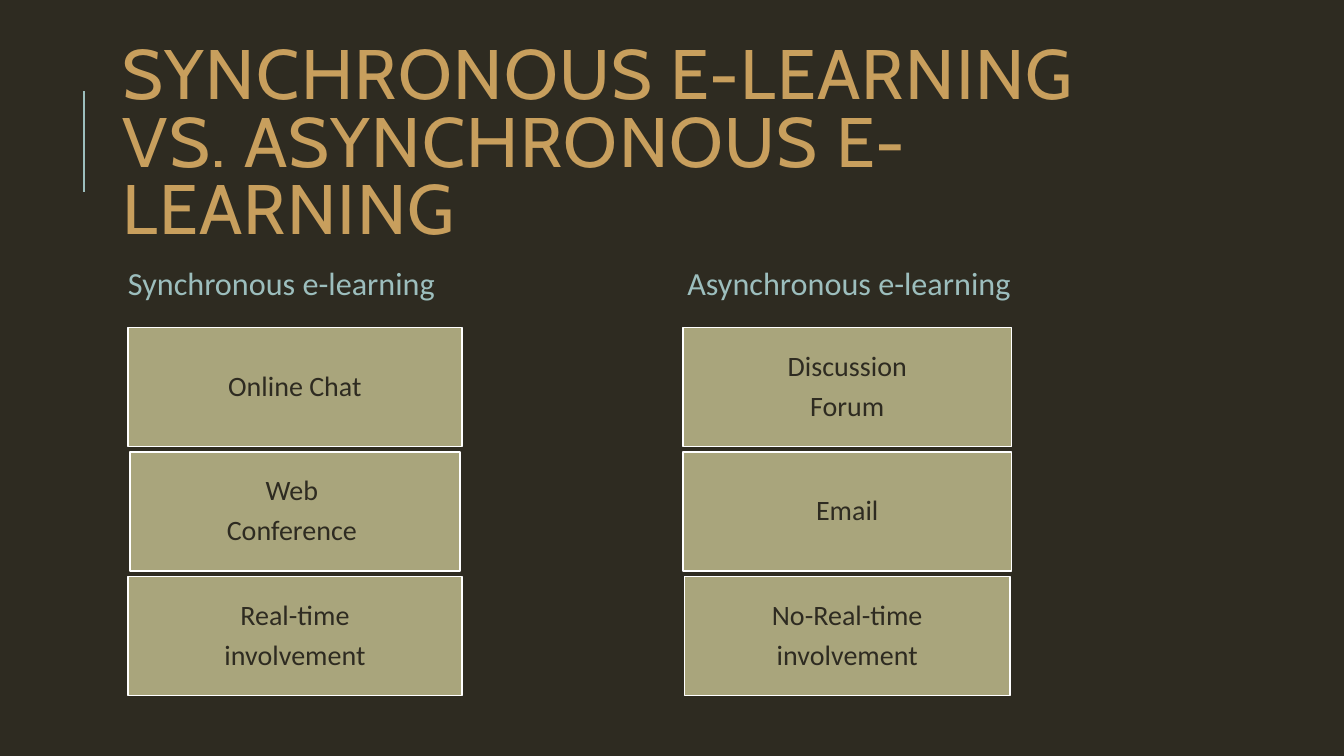
"""Build a slide that compares synchronous with asynchronous e-learning."""
from dataclasses import dataclass

from lxml import etree
from pptx import Presentation
from pptx import util as u
from pptx.dml.color import RGBColor
from pptx.enum import shapes, text
from pptx.oxml import ns

DARK = RGBColor(0x2E, 0x2B, 0x21)
GOLD = RGBColor(0xC8, 0x9F, 0x5D)
TEAL = RGBColor(0x9C, 0xBE, 0xBD)
OLIVE = RGBColor(0xA9, 0xA5, 0x7C)
WHITE = RGBColor(0xFF, 0xFF, 0xFF)

FIRST_TOP, CARD_HEIGHT, CARD_PITCH = 234, 85, 88.9


@dataclass(frozen=True)
class Font:
    name: str
    size: float
    color: RGBColor
    tracking: int = 0


@dataclass(frozen=True)
class Card:
    lines: tuple[str, ...]
    width: float


@dataclass(frozen=True)
class Column:
    heading: str
    heading_left: float
    center: float
    cards: tuple[Card, ...]


TITLE_FONT = Font("Cabin", 50, GOLD, tracking=100)
HEADING_FONT = Font("Calibri", 23, TEAL)
CARD_FONT = Font("Calibri", 20, DARK)

COLUMNS = (
    Column("Synchronous e-learning", 80.6, 210.7, (
        Card(("Online Chat",), 238.4),
        Card(("Web ", "Conference "), 236.2),
        Card(("Real-time", "involvement"), 238.6),
    )),
    Column("Asynchronous e-learning", 480.2, 605.2, (
        Card(("Discussion", "Forum"), 234.8),
        Card(("Email",), 234.8),
        Card(("No-Real-time", "involvement"), 232.6),
    )),
)


def write(frame, lines: tuple[str, ...], font: Font, spacing: float,
          inset: tuple[float, float], align=text.PP_ALIGN.LEFT, after: float = 0) -> None:
    """Fill a text frame with one paragraph for each line."""
    frame.word_wrap = True
    frame.vertical_anchor = text.MSO_ANCHOR.MIDDLE
    frame.margin_left = frame.margin_right = u.Pt(inset[0])
    frame.margin_top = frame.margin_bottom = u.Pt(inset[1])
    for index, line in enumerate(lines):
        paragraph = frame.add_paragraph() if index else frame.paragraphs[0]
        paragraph.alignment = align
        paragraph.line_spacing = spacing
        paragraph.space_after = u.Pt(after)
        run = paragraph.add_run()
        run.text = line
        run.font.name = font.name
        run.font.size = u.Pt(font.size)
        run.font.color.rgb = font.color
        if font.tracking:
            run.font._element.set("spc", str(font.tracking))


def draw_accent(slide) -> None:
    """Draw the vertical rule beside the title."""
    accent = slide.shapes.add_connector(
        shapes.MSO_CONNECTOR.STRAIGHT, u.Pt(60), u.Pt(136.8), u.Pt(60), u.Pt(64.8))
    accent.line.color.rgb = TEAL
    accent.line.width = u.Pt(1.5)
    etree.SubElement(accent._element.spPr, ns.qn("a:effectLst"))


def draw_card(slide, card: Card, center: float, top: float) -> None:
    """Draw one bordered card centred on its column."""
    tile = slide.shapes.add_shape(
        shapes.MSO_SHAPE.RECTANGLE, u.Pt(center - card.width / 2), u.Pt(top),
        u.Pt(card.width), u.Pt(CARD_HEIGHT))
    tile.shadow.inherit = False
    tile.fill.solid()
    tile.fill.fore_color.rgb = OLIVE
    tile.line.color.rgb = WHITE
    tile.line.width = u.Pt(1.25)
    write(tile.text_frame, card.lines, CARD_FONT, 0.9, (4.2, 4.2),
          text.PP_ALIGN.CENTER, after=7)


def draw_column(slide, column: Column) -> None:
    """Draw a heading and the cards below it."""
    heading = slide.shapes.add_textbox(
        u.Pt(column.heading_left), u.Pt(171.4), u.Pt(374.4), u.Pt(64.8))
    write(heading.text_frame, (column.heading,), HEADING_FONT, 0.9, (10.8, 3.6))
    for row, card in enumerate(column.cards):
        draw_card(slide, card, column.center, FIRST_TOP + row * CARD_PITCH)


def main() -> None:
    """Build and save the presentation."""
    deck = Presentation()
    deck.slide_width, deck.slide_height = u.Pt(960), u.Pt(540)
    slide = deck.slides.add_slide(deck.slide_layouts[6])
    slide.background.fill.solid()
    slide.background.fill.fore_color.rgb = DARK

    draw_accent(slide)
    title = slide.shapes.add_textbox(u.Pt(80.6), u.Pt(46), u.Pt(765.4), u.Pt(118))
    write(title.text_frame, ("SYNCHRONOUS E-LEARNING VS. ASYNCHRONOUS E-LEARNING",),
          TITLE_FONT, 0.8, (7.2, 3.6))
    for column in COLUMNS:
        draw_column(slide, column)
    deck.save("out.pptx")


if __name__ == "__main__":
    main()
